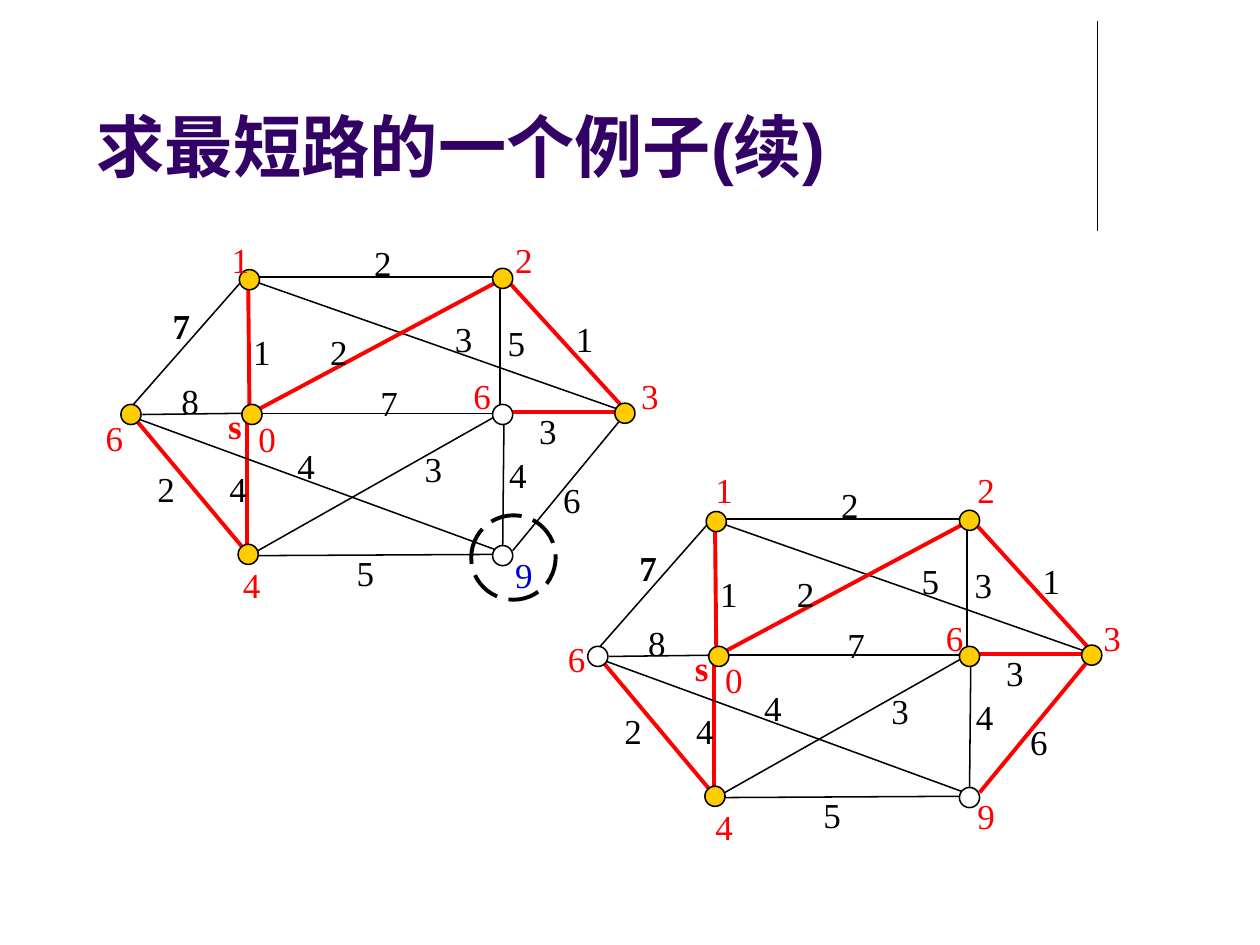
from dataclasses import dataclass

from lxml.etree import SubElement
from pptx import Presentation
from pptx.dml.color import RGBColor
from pptx.enum.dml import MSO_LINE
from pptx.enum.shapes import MSO_CONNECTOR, MSO_SHAPE
from pptx.enum.text import MSO_ANCHOR, MSO_AUTO_SIZE
from pptx.oxml.ns import qn
from pptx.util import Inches, Pt


@dataclass(frozen=True)
class Theme:
    ink: str = "000000"
    title: str = "330066"
    tree: str = "FF0000"
    pending: str = "0000CC"
    settled: str = "FFCC00"
    open: str = "FFFFFF"
    title_font: str = "Arial"
    label_font: str = "Times New Roman"
    title_size: float = 39
    label_size: float = 20
    rule: float = 0.75
    thin: float = 0.88
    thick: float = 2.25


class Board:
    columns = 100
    rows = 75

    def __init__(self, deck, theme):
        self.theme = theme
        self.width = deck.slide_width
        self.height = deck.slide_height
        self.page = deck.slides.add_slide(deck.slide_layouts[6])

    def place(self, column, row):
        return (round(column * self.width / self.columns),
                round(row * self.height / self.rows))

    def line(self, start, end, color, weight):
        connector = self.page.shapes.add_connector(
            MSO_CONNECTOR.STRAIGHT, *self.place(*start), *self.place(*end))
        connector.line.color.rgb = RGBColor.from_string(color)
        connector.line.width = Pt(weight)
        SubElement(connector._element.spPr, qn("a:effectLst"))

    def circle(self, corner, size, weight, fill=None, dash=None):
        oval = self.page.shapes.add_shape(
            MSO_SHAPE.OVAL, *self.place(*corner), *self.place(size, size))
        oval.shadow.inherit = False
        if fill:
            oval.fill.solid()
            oval.fill.fore_color.rgb = RGBColor.from_string(fill)
        else:
            oval.fill.background()
        oval.line.color.rgb = RGBColor.from_string(self.theme.ink)
        oval.line.width = Pt(weight)
        if dash:
            oval.line.dash_style = dash

    def text(self, words, corner, extent, font, size, color, bold=False):
        box = self.page.shapes.add_textbox(*self.place(*corner), *self.place(*extent))
        frame = box.text_frame
        frame.text = words
        frame.word_wrap = True
        span = frame.paragraphs[0].runs[0]
        span.font.name = font
        span.font.size = Pt(size)
        span.font.bold = bold
        span.font.color.rgb = RGBColor.from_string(color)
        return frame

    def title(self, words, corner, extent):
        theme = self.theme
        frame = self.text(words, corner, extent, theme.title_font,
                          theme.title_size, theme.title, True)
        frame.vertical_anchor = MSO_ANCHOR.BOTTOM

    def weight(self, words, corner, color, bold=False):
        theme = self.theme
        width = 1.1 if words == "s" else 1.4
        frame = self.text(words, corner, (width, 3.3), theme.label_font,
                          theme.label_size, color, bold)
        frame.word_wrap = False
        frame.auto_size = MSO_AUTO_SIZE.SHAPE_TO_FIT_TEXT
        frame.margin_left = frame.margin_right = 0
        frame.margin_top = frame.margin_bottom = 0

    def distance(self, words, corner, color):
        theme = self.theme
        frame = self.text(words, corner, (3.3, 4.3), theme.label_font,
                          theme.label_size, color)
        frame.auto_size = MSO_AUTO_SIZE.SHAPE_TO_FIT_TEXT

    def graph(self, step):
        theme = self.theme
        across, down = step["origin"]

        def shift(point):
            return point[0] + across, point[1] + down

        for name, (start, end) in EDGES.items():
            red = name in TREE | step["tree"]
            self.line(shift(start), shift(end), theme.tree if red else theme.ink,
                      theme.thick if red else theme.thin)
        for words, *corner in WEIGHTS + step["weights"]:
            self.weight(words, shift(corner), theme.ink)
        self.weight("7", shift((13.7, 24.2)), theme.ink, True)
        self.weight("s", shift((18.1, 32.1)), theme.tree, True)
        self.weight("0", shift((20.5, 33.1)), theme.tree)
        for name, corner in NODES.items():
            fill = theme.open if name in step["open"] else theme.settled
            self.circle(shift(corner), 1.6, theme.thin, fill)
        for words, *corner in step["distances"]:
            color = theme.pending if words == step["pending"] else theme.tree
            self.distance(words, corner, color)


NODES = {
    "a": (19, 21.4), "b": (39.1, 21.3), "left": (9.6, 32.1), "s": (19.2, 32.1),
    "mid": (39.1, 32.1), "right": (48.8, 32), "end": (39.1, 43.3), "low": (18.9, 43.2),
}
EDGES = {
    "a-b": ((20.3, 22), (39.3, 22)),
    "low-end": ((20.3, 44.1), (39.3, 44)),
    "a-left": ((19.2, 22.3), (10.5, 32.2)),
    "left-low": ((10.6, 33.1), (19.3, 43.5)),
    "right-end": ((49.1, 33.5), (40.7, 43.7)),
    "left-s": ((11.3, 32.9), (19.5, 32.8)),
    "s-mid": ((20.5, 32.8), (39.1, 32.8)),
    "mid-right": ((40.4, 32.7), (48.9, 32.7)),
    "a-s": ((19.7, 22.5), (19.8, 32.4)),
    "s-low": ((19.6, 33.3), (19.6, 44.2)),
    "b-mid": ((39.7, 22.8), (39.7, 32.1)),
    "mid-end": ((40, 33.2), (39.9, 43.3)),
    "a-right": ((20.1, 22.3), (49.4, 32.6)),
    "b-s": ((39.4, 22.4), (20.3, 32.6)),
    "mid-low": ((39.4, 33), (20.3, 43.8)),
    "b-right": ((40.3, 22.3), (49.6, 32.5)),
    "left-end": ((11.1, 33.3), (39.8, 43.8)),
}
TREE = {"left-low", "mid-right", "a-s", "s-low", "b-s", "b-right"}
WEIGHTS = [
    ("7", 30.2, 30.3), ("2", 29.7, 19.2), ("1", 20.1, 26.2), ("2", 26.2, 26.2),
    ("1", 45.7, 25.2), ("2", 12.5, 37.1), ("4", 23.6, 35.3), ("4", 18.2, 37.1),
    ("8", 14.4, 30.1), ("3", 33.7, 35.5), ("5", 28.3, 43.8), ("3", 42.8, 32.5),
    ("4", 40.4, 36), ("6", 44.7, 38),
]
STEPS = [
    {
        "origin": (0, 0), "tree": set(), "open": {"mid", "end"}, "pending": "9",
        "weights": [("5", 40.3, 25.5), ("3", 36.1, 25.2)],
        "distances": [("1", 17.4, 18.4), ("2", 39.9, 18.4), ("6", 36.6, 29.2),
                      ("4", 18.3, 44.2), ("3", 49.9, 29.2), ("9", 39.9, 43.4),
                      ("6", 7.4, 32.6)],
    },
    {
        "origin": (37.05, 19.2), "tree": {"right-end"}, "open": {"left", "end"},
        "pending": None,
        "weights": [("3", 40.3, 25.5), ("5", 36.1, 25.2)],
        "distances": [("1", 55.8, 36.7), ("2", 76.6, 36.7), ("6", 44.1, 50.1),
                      ("6", 74.1, 48.4), ("4", 55.8, 63.4), ("3", 86.6, 48.4),
                      ("9", 76.6, 62.6)],
    },
]


def main():
    deck = Presentation()
    deck.slide_width = Inches(10)
    deck.slide_height = Inches(7.5)
    theme = Theme()
    board = Board(deck, theme)
    board.line((87.1, 1.7), (87.1, 18.3), theme.ink, theme.rule)
    board.title("求最短路的一个例子(续)", (6.7, 2.8), (85, 12.5))
    for step in STEPS:
        board.graph(step)
    board.circle((37.4, 40.9), 6.7, theme.thick, dash=MSO_LINE.LONG_DASH)
    deck.save("out.pptx")


if __name__ == "__main__":
    main()
